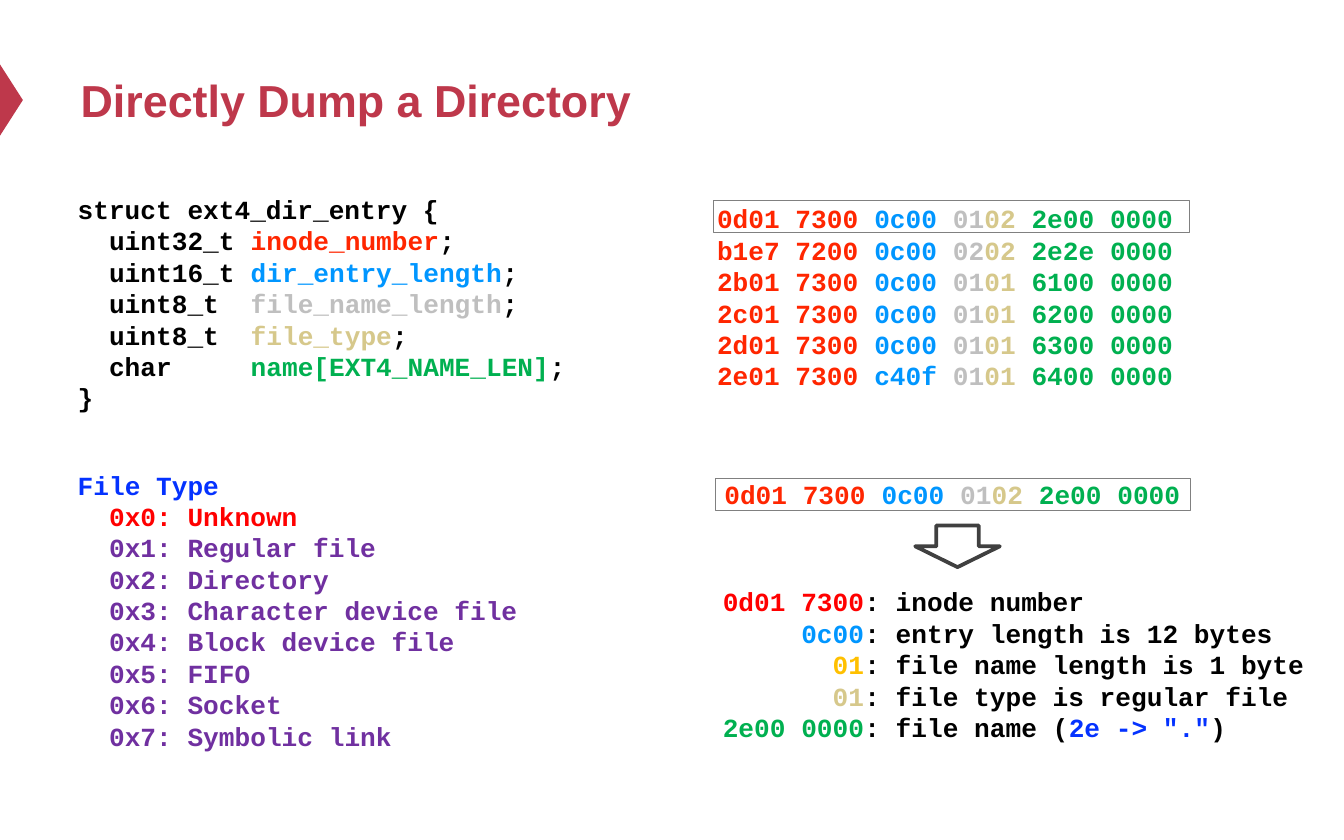
from pptx import Presentation
from pptx.dml.color import RGBColor
from pptx.enum.shapes import MSO_SHAPE as SHAPE
from pptx.enum.text import MSO_ANCHOR as ANCHOR, PP_ALIGN as ALIGN
from pptx.util import Inches, Pt

UNIT = 0.1  # inches per grid column and row: 100 columns by 62.5 rows
COLORS = {
    "title": "BE384B", "black": "000000", "inode": "FF2600", "length": "0096FF",
    "name_len": "BFBFBF", "type": "D6C88B", "name": "00B050", "red": "FF0000",
    "amber": "FFC000", "blue": "0432FF", "purple": "7030A0",
    "arrow": "404040", "frame": "808080",
}
FIELDS = ("inode", "length", "name_len", "type", "name")
ENTRIES = [
    ("0d01 7300", "0c00", "01", "02", "2e00 0000"),
    ("b1e7 7200", "0c00", "02", "02", "2e2e 0000"),
    ("2b01 7300", "0c00", "01", "01", "6100 0000"),
    ("2c01 7300", "0c00", "01", "01", "6200 0000"),
    ("2d01 7300", "0c00", "01", "01", "6300 0000"),
    ("2e01 7300", "c40f", "01", "01", "6400 0000"),
]
MEMBERS = [
    ("uint32_t", "inode_number", "inode"),
    ("uint16_t", "dir_entry_length", "length"),
    ("uint8_t", "file_name_length", "name_len"),
    ("uint8_t", "file_type", "type"),
    ("char", "name[EXT4_NAME_LEN]", "name"),
]
FILE_TYPES = ["Unknown", "Regular file", "Directory", "Character device file",
              "Block device file", "FIFO", "Socket", "Symbolic link"]
DECODED = [
    ("0d01 7300", "red", ": inode number"),
    ("0c00", "length", ": entry length is 12 bytes"),
    ("01", "amber", ": file name length is 1 byte"),
    ("01", "type", ": file type is regular file"),
    ("2e00 0000", "name", ": file name ("),
]


def rgb(name):
    return RGBColor.from_string(COLORS[name])


def grid(*cells):
    return [Inches(c * UNIT) for c in cells]


def write(tf, lines, font="Courier New", size=14, align=ALIGN.LEFT):
    """Fill a text frame; each line is a list of (text, colour name) runs."""
    for i, line in enumerate(lines):
        p = tf.paragraphs[0] if i == 0 else tf.add_paragraph()
        p.alignment = align
        for text, color in line:
            r = p.add_run()
            r.text = text
            r.font.name, r.font.size, r.font.bold = font, Pt(size), True
            r.font.color.rgb = rgb(color)


def add_text(s, box, lines, wrap=True, **fmt):
    tf = s.shapes.add_textbox(*grid(*box)).text_frame
    tf.word_wrap = wrap
    write(tf, lines, **fmt)


def add_outline(s, kind, box, color, width):
    sp = s.shapes.add_shape(kind, *grid(*box))
    sp.shadow.inherit = False
    sp.fill.background()
    sp.line.color.rgb = rgb(color)
    sp.line.width = Pt(width)


def entry_runs(entry):
    """Colour the five fields; the two one-byte fields share a word."""
    return [(text + ("" if field == "name_len" else " "), field)
            for text, field in zip(entry, FIELDS)]


def add_title(s, box, text):
    x, y, w, h = box
    marker = s.shapes.add_shape(SHAPE.ISOSCELES_TRIANGLE,
                                *grid(-1.8, y + 4.1, 5.3, 1.7))
    marker.rotation = 90
    marker.shadow.inherit = False
    marker.fill.solid()
    marker.fill.fore_color.rgb = rgb("title")
    marker.line.fill.background()
    title = s.shapes.title
    title.left, title.top, title.width, title.height = grid(*box)
    title.text_frame.vertical_anchor = ANCHOR.MIDDLE
    write(title.text_frame, [[(text, "title")]], font="Arial", size=24)


def add_struct(s, box):
    body = [[(f"  {kind:<9}", "black"), (name, color), (";", "black")]
            for kind, name, color in MEMBERS]
    add_text(s, box, [[("struct ext4_dir_entry {", "black")], *body,
                      [("}", "black")]])


def add_file_types(s, box):
    rows = [[(f"  0x{i}: {name}", "purple" if i else "red")]
            for i, name in enumerate(FILE_TYPES)]
    add_text(s, box, [[("File Type", "blue")], *rows])


def add_dump(s, box):
    x, y, w, h = box
    add_text(s, box, [entry_runs(e) for e in ENTRIES], align=ALIGN.CENTER)
    add_outline(s, SHAPE.RECTANGLE, (x + 3.1, y + 0.3, 35.4, 2.4), "frame", 0.25)


def add_decoding(s, box):
    """Show the first entry, an arrow and the meaning of each field."""
    x, y, w, h = box
    add_text(s, (x, y, 37.3, 3.4), [entry_runs(ENTRIES[0])], wrap=False,
             align=ALIGN.CENTER)
    add_outline(s, SHAPE.RECTANGLE, (x + 0.4, y + 0.5, 35.4, 2.4), "frame", 0.25)
    add_outline(s, SHAPE.DOWN_ARROW, (x + 15.3, y + 4, 6.3, 3.1), "arrow", 2)
    lines = [[(f"{value:>9}", color), (meaning, "black")]
             for value, color, meaning in DECODED]
    lines[-1] += [('2e -> "."', "blue"), (")", "black")]
    add_text(s, (x, y + 8, w, h - 8), lines)


def main():
    prs = Presentation()
    prs.slide_width, prs.slide_height = grid(100, 62.5)
    s = prs.slides.add_slide(prs.slide_layouts[5])
    add_title(s, (5, 2.5, 90, 9.8), "Directly Dump a Directory")
    add_struct(s, (4.8, 13.9, 45, 17.5))
    add_dump(s, (50, 14.6, 41.8, 15.1))
    add_file_types(s, (4.8, 34.4, 40.2, 22.2))
    add_decoding(s, (52.8, 35.1, 47, 20.8))
    prs.save("out.pptx")


if __name__ == "__main__":
    main()
